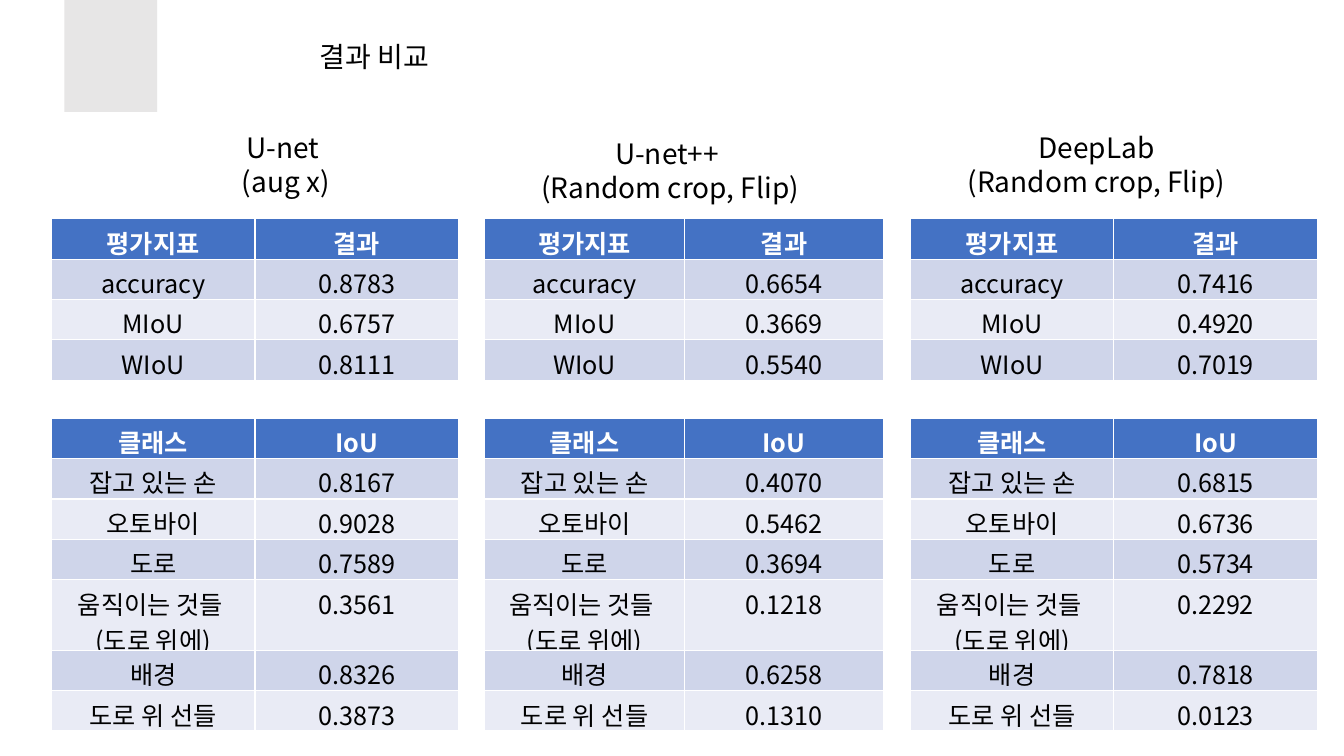
from pptx import Presentation, util as u
from pptx.dml.color import RGBColor
from pptx.enum import shapes, text
from pptx.oxml.ns import qn
from lxml import etree

FONT = "Noto Sans CJK KR"
BLACK, WHITE, GREY, BLUE = "000000", "FFFFFF", "E7E6E6", "4472C4"
BANDS = ["E9EBF5", "CFD5EA"]


def fill_with(item, colour):
    item.fill.solid()
    item.fill.fore_color.rgb = RGBColor.from_string(colour)


def write(frame, lines, size, colour=BLACK, bold=False):
    """Write centred paragraphs; a newline inside one becomes a line break."""
    for number, line in enumerate(lines):
        para = frame.add_paragraph() if number else frame.paragraphs[0]
        para.alignment = text.PP_ALIGN.CENTER
        for part_number, part in enumerate(line.split("\n")):
            if part_number:
                para.add_line_break()
            span = para.add_run()
            span.text = part
            formats = {"name": FONT, "size": u.Pt(size), "bold": bold}
            for name, value in formats.items():
                setattr(span.font, name, value)
            span.font.color.rgb = RGBColor.from_string(colour)
            # Korean letters take the East Asian font
            etree.SubElement(span.font._element, qn("a:ea")).set("typeface", FONT)


deck = Presentation()
deck.slide_width, deck.slide_height = u.Pt(960), u.Pt(540)
page = deck.slides.add_slide(deck.slide_layouts[5])

# Title
title = page.shapes.title
place = {"left": 125.3, "top": 24.5, "width": 284.4, "height": 31.5}
for name, value in place.items():
    setattr(title, name, u.Pt(value))
title.text_frame.vertical_anchor = text.MSO_ANCHOR.TOP
title.text_frame.auto_size = text.MSO_AUTO_SIZE.SHAPE_TO_FIT_TEXT
write(title.text_frame, ["결과 비교"], 20)

# Grey block at the top edge
block = page.shapes.add_shape(
    shapes.MSO_SHAPE.RECTANGLE, u.Pt(46), 0, u.Pt(66.3), u.Pt(80))
block.shadow.inherit = False
block.line.fill.background()
fill_with(block, GREY)

# Headings: lines, left, top, width
headings = [
    (["U-net ", "(aug x)"], 62, 90, 284.4),
    (["U-net++ ", "(Random crop, Flip)"], 365, 94, 227.5),
    (["DeepLab", "(Random crop, Flip)"], 669.6, 90, 227.5),
]
for lines, left, top, width in headings:
    box = page.shapes.add_textbox(u.Pt(left), u.Pt(top), u.Pt(width), u.Pt(55.4))
    box.text_frame.word_wrap = True
    box.text_frame.auto_size = text.MSO_AUTO_SIZE.SHAPE_TO_FIT_TEXT
    write(box.text_frame, lines, 20)

# Tables: row labels are shared, each model has its own values
metrics = ["평가지표", "accuracy", "MIoU", "WIoU"]
classes = ["클래스", "잡고 있는 손", "오토바이", "도로",
           "움직이는 것들 \n(도로 위에)", "배경", "도로 위 선들"]
models = [
    (36.7, 290.8, ["0.8783", "0.6757", "0.8111"],
     ["0.8167", "0.9028", "0.7589", "0.3561", "0.8326", "0.3873"]),
    (346.3, 285, ["0.6654", "0.3669", "0.5540"],
     ["0.4070", "0.5462", "0.3694", "0.1218", "0.6258", "0.1310"]),
    (650.2, 290.8, ["0.7416", "0.4920", "0.7019"],
     ["0.6815", "0.6736", "0.5734", "0.2292", "0.7818", "0.0123"]),
]
for left, width, scores, ious in models:
    for top, height, labels, values in [
            (298.8, 223.2, classes, ["IoU"] + ious),
            (156.3, 115.2, metrics, ["결과"] + scores)]:
        holder = page.shapes.add_table(
            len(labels), 2, u.Pt(left), u.Pt(top), u.Pt(width), u.Pt(height))
        table = holder.table
        for row, pair in enumerate(zip(labels, values)):
            table.rows[row].height = u.Pt(50.4 if "\n" in pair[0] else 28.8)
            for column, words in enumerate(pair):
                cell = table.cell(row, column)
                fill_with(cell, BANDS[row % 2] if row else BLUE)
                write(cell.text_frame, [words], 18,
                      BLACK if row else WHITE, bold=not row)
        holder.height = u.Pt(height)

deck.save("out.pptx")
